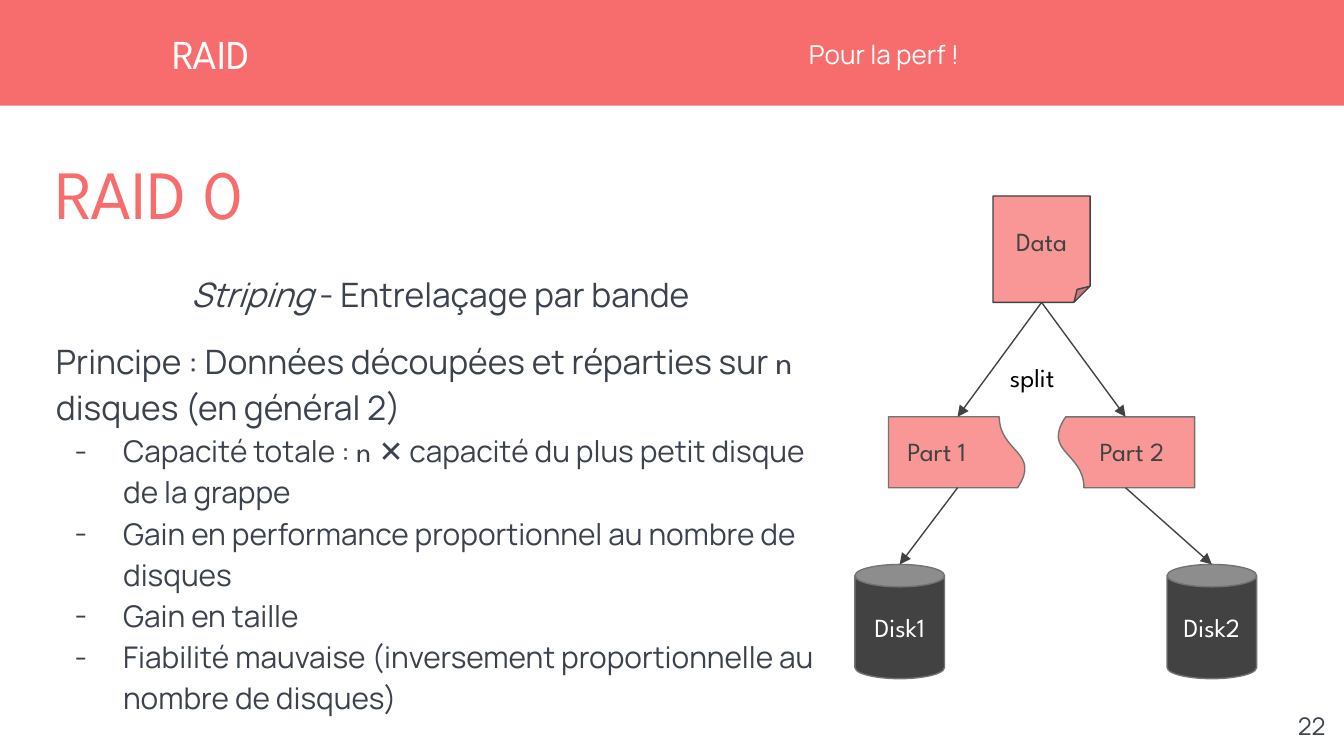
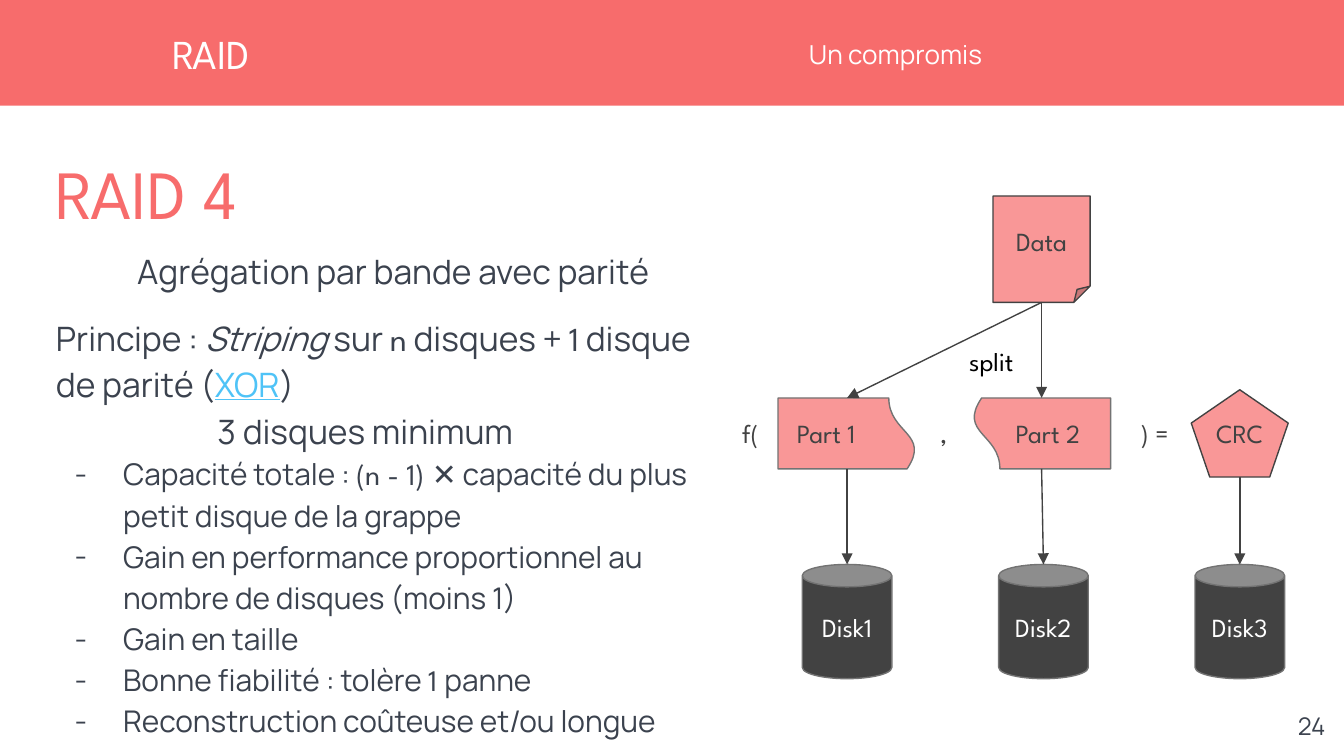
from lxml import etree
from pptx import Presentation
from pptx.dml.color import RGBColor
from pptx.enum.shapes import MSO_CONNECTOR, MSO_SHAPE
from pptx.enum.text import MSO_ANCHOR, PP_ALIGN
from pptx.oxml.ns import qn
from pptx.util import Pt

# Enum members
LEFT, CENTER, RIGHT = PP_ALIGN.LEFT, PP_ALIGN.CENTER, PP_ALIGN.RIGHT
TOP, MIDDLE = MSO_ANCHOR.TOP, MSO_ANCHOR.MIDDLE
RECTANGLE, CAN, PENTAGON = MSO_SHAPE.RECTANGLE, MSO_SHAPE.CAN, MSO_SHAPE.REGULAR_PENTAGON
FOLDED, DOCUMENT = MSO_SHAPE.FOLDED_CORNER, MSO_SHAPE.FLOWCHART_DOCUMENT
STRAIGHT = MSO_CONNECTOR.STRAIGHT

# Colours
CORAL = RGBColor(0xF7, 0x6C, 0x6C)
PINK = RGBColor(0xF9, 0x97, 0x97)
SLATE = RGBColor(0x3B, 0x42, 0x4E)
DARK = RGBColor(0x42, 0x42, 0x42)
GRAY = RGBColor(0x73, 0x73, 0x73)
SKY = RGBColor(0x4F, 0xC3, 0xF7)
WHITE = RGBColor(0xFF, 0xFF, 0xFF)
BLACK = RGBColor(0, 0, 0)

# Text styles
SPARTAN, MANROPE = "League Spartan", "Manrope"
SECTION = {"name": SPARTAN, "size": Pt(22), "color": WHITE}
TAGLINE = {"name": MANROPE, "size": Pt(14), "color": WHITE}
HEADING = {"name": SPARTAN, "size": Pt(37), "color": CORAL}
BODY = {"name": MANROPE, "size": Pt(18), "color": SLATE}
BULLET = {**BODY, "size": Pt(16)}
NUMBER = {**BODY, "size": Pt(13)}
DIAGRAM = {"name": SPARTAN, "size": Pt(14), "color": DARK}
DISK = {**DIAGRAM, "color": WHITE}
SPLIT = {**DIAGRAM, "color": BLACK}
ITALIC = {"italic": True}
MATH = {"name": SPARTAN}
LINKED = {"color": SKY, "underline": True}

# Diagram measures
INSET = 7.2
LABEL_HEIGHT = 32
DATA_X, DATA_TOP, DATA_W, DATA_H = 558, 105, 52, 57
DATA_BOTTOM = DATA_TOP + DATA_H
DISK_TOP, DISK_W, DISK_H = 302.4, 48, 61.2
PART_W, PART_H = 74, 38


def write(paragraph, runs, style):
    """Fill a paragraph; runs is a string or a list of strings and (string, changes)."""
    for item in [runs] if isinstance(runs, str) else runs:
        text, changes = (item, {}) if isinstance(item, str) else item
        run = paragraph.add_run()
        run.text = text
        for key, value in {**style, **changes}.items():
            if key == "color":
                run.font.color.rgb = value
            else:
                setattr(run.font, key, value)


def set_frame(frame, anchor, inset):
    values = {"word_wrap": True, "vertical_anchor": anchor}
    values.update({f"margin_{side}": Pt(inset) for side in ("left", "top", "right", "bottom")})
    for key, value in values.items():
        setattr(frame, key, value)


def add_text(shapes, box, text, style, align=LEFT, anchor=TOP, inset=0):
    frame = shapes.add_textbox(*map(Pt, box)).text_frame
    set_frame(frame, anchor, inset)
    frame.paragraphs[0].alignment = align
    write(frame.paragraphs[0], text, style)


def add_label(shapes, text, left, top, width, style=DIAGRAM, align=CENTER):
    add_text(shapes, (left, top, width, LABEL_HEIGHT), text, style, align, inset=INSET)


def add_block(shapes, kind, box, fill, outline=None, text=None, style=DIAGRAM):
    block = shapes.add_shape(kind, *map(Pt, box))
    block.shadow.inherit = False
    block.fill.solid()
    block.fill.fore_color.rgb = fill
    if outline is None:
        block.line.fill.background()
    else:
        block.line.color.rgb = outline
        block.line.width = Pt(0.75)
    if text:
        set_frame(block.text_frame, MIDDLE, INSET)
        block.text_frame.paragraphs[0].alignment = CENTER
        write(block.text_frame.paragraphs[0], text, style)
    return block


def add_arrow(shapes, start, end, source=None):
    arrow = shapes.add_connector(STRAIGHT, *map(Pt, start + end))
    if source is not None:
        arrow.begin_connect(source, 2)
    arrow.line.color.rgb = DARK
    arrow.line.width = Pt(0.75)
    etree.SubElement(arrow.line._get_or_add_ln(), qn("a:tailEnd"), type="triangle")
    etree.SubElement(arrow._element.spPr, qn("a:effectLst"))


def add_bullet(paragraph):
    properties = paragraph._p.get_or_add_pPr()
    properties.set("marL", str(Pt(36)))
    properties.set("indent", str(-Pt(26)))
    colour = etree.SubElement(properties, qn("a:buClr"))
    etree.SubElement(colour, qn("a:srgbClr"), val=str(SLATE))
    etree.SubElement(properties, qn("a:buFont"), typeface=MANROPE)
    etree.SubElement(properties, qn("a:buChar"), char="-")


# Parts shared by the slides
def add_page(deck, tagline, heading, number):
    shapes = deck.slides.add_slide(deck.slide_layouts[6]).shapes
    add_block(shapes, RECTANGLE, (-1.5, 0, 723, 56.6), CORAL)
    add_text(shapes, (433.4, 15, 276.5, 28), tagline, TAGLINE, anchor=MIDDLE)
    add_text(shapes, (92.2, 0, 337.7, 56.6), "RAID", SECTION, anchor=MIDDLE)
    add_text(shapes, (30, 80.6, 666.7, 41.8), heading, HEADING)
    add_text(shapes, (673.9, 373.7, 43.2, 31), number, NUMBER, RIGHT, inset=INSET)
    return shapes


def add_body(shapes, width, subtitle, principle, bullets, remark=None):
    frame = shapes.add_textbox(*map(Pt, (30, 135.4, width, 256.3))).text_frame
    set_frame(frame, MIDDLE, 0)

    def next_paragraph(runs, style=BODY):
        paragraph = frame.add_paragraph()
        paragraph.line_spacing = 1.15
        write(paragraph, runs, style)
        return paragraph

    first = frame.paragraphs[0]
    first.alignment, first.line_spacing, first.space_after = CENTER, 1.15, Pt(11)
    write(first, subtitle, BODY)
    next_paragraph(principle)
    if remark:
        next_paragraph(remark)._p.get_or_add_pPr().set("marL", str(Pt(86.5)))
    for bullet in bullets:
        add_bullet(next_paragraph(bullet, BULLET))


def add_data(shapes):
    box = (DATA_X - DATA_W / 2, DATA_TOP, DATA_W, DATA_H)
    return add_block(shapes, FOLDED, box, PINK, DARK, "Data")


def add_part(shapes, text, x, y, rotation, label_shift):
    group = shapes.add_group_shape().shapes
    # The outline is upright before it is turned, so its sides swap
    box = (x - PART_H / 2, y - PART_W / 2, PART_H, PART_W)
    add_block(group, DOCUMENT, box, PINK, GRAY).rotation = rotation
    add_label(group, text, x + label_shift, y - LABEL_HEIGHT / 2, 55.4, align=LEFT)


def add_disk(shapes, text, x):
    box = (x - DISK_W / 2, DISK_TOP, DISK_W, DISK_H)
    add_block(shapes, CAN, box, DARK, GRAY, text, DISK)


def add_striping(shapes, y, part_xs, disk_xs):
    """Data split into two parts, each stored on its disk."""
    data = add_data(shapes)
    turns = ((270, -34), (90, -21))
    for index, (part_x, disk_x, turn) in enumerate(zip(part_xs, disk_xs, turns), 1):
        add_disk(shapes, f"Disk{index}", disk_x)
        add_part(shapes, f"Part {index}", part_x, y, *turn)
        add_arrow(shapes, (DATA_X, DATA_BOTTOM), (part_x, y - PART_H / 2), data)
        add_arrow(shapes, (part_x, y + PART_H / 2), (disk_x, DISK_TOP))


def build_raid0(deck):
    shapes = add_page(deck, "Pour la perf !", "RAID 0", "22")
    add_body(
        shapes, 411.8,
        [("Striping", ITALIC), " - Entrelaçage par bande"],
        ["Principe : Données découpées et réparties sur ", ("n", MATH),
         " disques (en général 2)"],
        [
            ["Capacité totale : ", ("n ✕", MATH),
             " capacité du plus petit disque de la grappe"],
            "Gain en performance proportionnel au nombre de disques",
            "Gain en taille",
            "Fiabilité mauvaise (inversement proportionnelle au nombre de disques)",
        ],
    )
    add_striping(shapes, 242.3, (513, 603), (482, 649.2))
    add_label(shapes, "split", 534, 186.5, 48.2, SPLIT, LEFT)


def build_raid4(deck):
    shapes = add_page(deck, "Un compromis", "RAID 4", "24")
    add_body(
        shapes, 361.4,
        "Agrégation par bande avec parité",
        ["Principe : ", ("Striping", ITALIC), " sur ", ("n", MATH), " disques + ",
         ("1", MATH), " disque de parité (", ("XOR", LINKED), ")"],
        [
            ["Capacité totale : ", ("(n - 1) ✕", MATH),
             " capacité du plus petit disque de la grappe"],
            "Gain en performance proportionnel au nombre de disques (moins 1)",
            "Gain en taille",
            ["Bonne fiabilité : tolère ", ("1 ", MATH), "panne"],
            "Reconstruction coûteuse et/ou longue",
        ],
        remark="3 disques minimum",
    )
    row_y, parity_x = 232.2, 664.2
    add_striping(shapes, row_y, (453.8, 558), (453.8, 559))
    add_label(shapes, "split", 507, 178, 48.2, SPLIT)

    # Parity: f(Part 1, Part 2) = CRC
    label_top = row_y - LABEL_HEIGHT / 2
    for sign, left, width in (("f(", 387.4, 29), (",", 491, 29), (") =", 601, 35.3)):
        add_label(shapes, sign, left, label_top, width)
    parity = shapes.add_group_shape().shapes
    add_block(parity, PENTAGON, (parity_x - 26, 208.8, 52, 46.8), PINK, DARK)
    add_label(parity, "CRC", parity_x - 27.7, label_top, 55.4)
    add_disk(shapes, "Disk3", parity_x)
    add_arrow(shapes, (parity_x, 255.6), (parity_x, DISK_TOP))


def main():
    deck = Presentation()
    deck.slide_width, deck.slide_height = Pt(720), Pt(405)
    build_raid0(deck)
    build_raid4(deck)
    deck.save("out.pptx")


if __name__ == "__main__":
    main()
